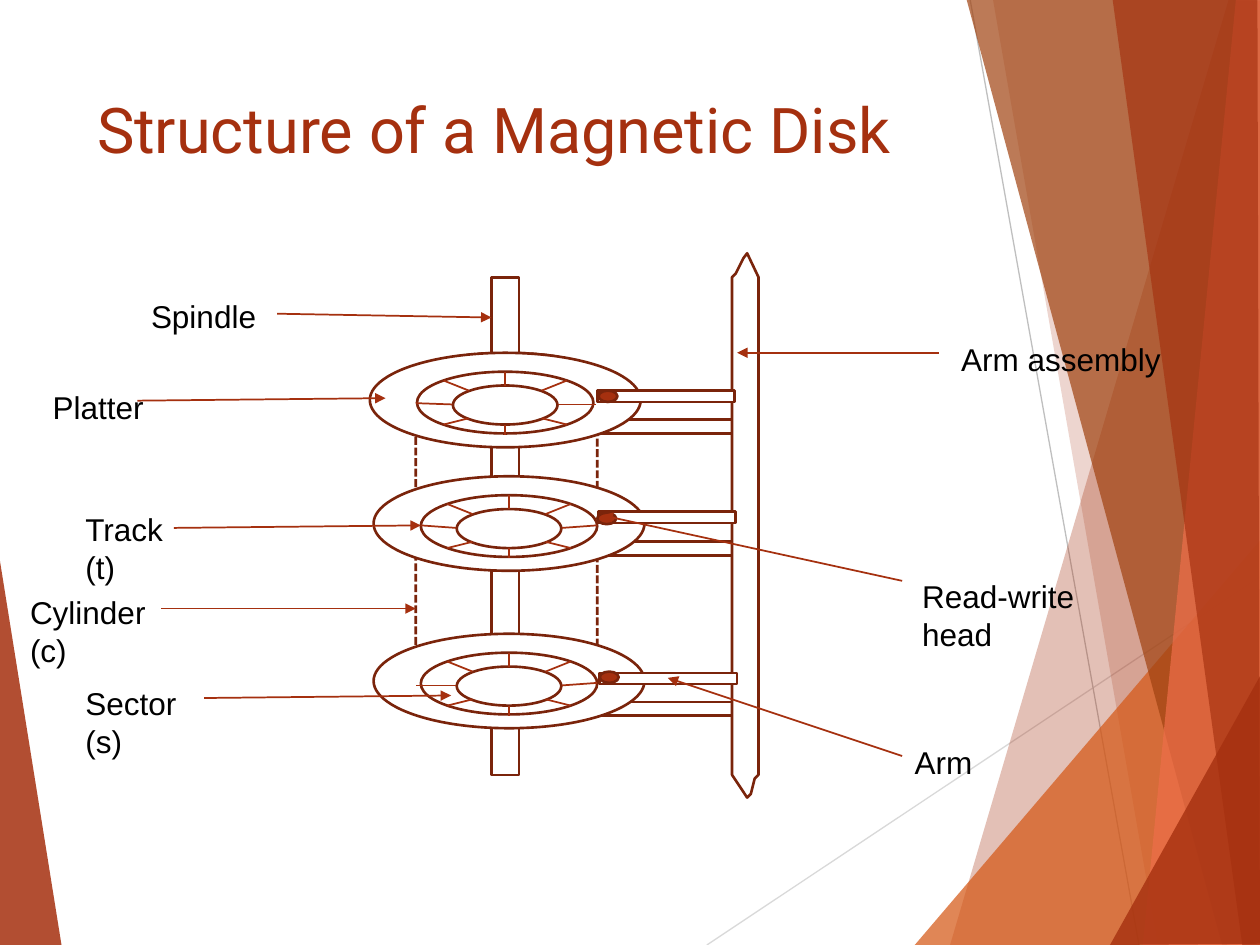
from lxml import etree
from pptx import Presentation
from pptx.dml.color import RGBColor
from pptx.enum import dml, shapes, text
from pptx.oxml.ns import qn
from pptx.util import Inches, Pt

RUST, BROWN, WHITE = "A5300F", "7A240B", "FFFFFF"
RECT, OVAL, CAN = (shapes.MSO_SHAPE.RECTANGLE, shapes.MSO_SHAPE.OVAL,
                   shapes.MSO_SHAPE.CAN)

# Theme facets, back to front: points, colour, opacity in percent
LEFT_FACET = ([(-0.01, 4.39), (0.49, 7.51), (-0.01, 7.5)], RUST, 85)
RIGHT_FACETS = [
    ([(9.75, 0), (7.54, 7.5), (10.02, 7.51), (10.01, 0.01)], RUST, 30),
    ([(7.88, -0.01), (9.19, 7.5), (10.01, 7.5), (10.01, -0.01)], RUST, 20),
    ([(7.26, 7.5), (10, 4.29), (10.01, 7.5)], "D55816", 72),
    ([(7.67, -0.01), (9.7, 7.5), (10.01, 7.49), (10.01, -0.01)], "A04210", 70),
    ([(9.81, -0.01), (9.07, 7.5), (10.01, 7.5), (10, -0.01)], "EE6E4A", 70),
    ([(8.83, -0.01), (9.86, 7.5), (10, 7.5), (9.98, -0.01)], RUST, 65),
    ([(8.81, 7.5), (10.01, 5.35), (10.01, 7.49)], RUST, 80),
]

# Platter centre x, top y, then outer ends of the left and right spokes
PLATTERS = [
    (4.01, 2.8, (-0.71, 0.4), (0.72, 0.41)),
    (4.04, 3.78, (-0.7, 0.39), (0.7, 0.39)),
    (4.04, 5.03, (-0.74, 0.41), (0.7, 0.39)),
]
RINGS = [(0, 2.15, 0.75), (0.15, 1.4, 0.49), (0.26, 0.83, 0.31)]  # top, w, h

LOWER_ARMS = [(4.64, 5.57), (4.62, 4.3), (4.75, 3.33)]
UPPER_ARMS = [(4.74, 3.1), (4.75, 4.06), (4.76, 5.34)]
HEADS = [(4.75, 3.1), (4.74, 4.07), (4.76, 5.33)]
ARM_POST = [(5.81, 2.2), (5.84, 2.17), (5.9, 2.05), (5.93, 2.01), (6.02, 2.2),
            (6.02, 6.15), (5.99, 6.18), (5.96, 6.3), (5.93, 6.33), (5.81, 6.15)]

# Label, its box, then arrow start and end
CALLOUTS = [
    ("Arm assembly", (7.53, 2.65, 2.01, 0.4), (7.45, 2.8), (5.85, 2.8)),
    ("Spindle", (1.1, 2.31, 1.11, 0.4), (2.2, 2.49), (3.9, 2.52)),
    ("Track (t)", (0.58, 4, 0.86, 0.71), (1.38, 4.19), (3.34, 4.17)),
    ("Sector (s)", (0.58, 5.38, 1.11, 0.71), (1.62, 5.54), (3.58, 5.52)),
    ("Platter", (0.32, 3.03, 1.11, 0.4), (1.09, 3.18), (3.06, 3.16)),
    ("Arm", (7.16, 5.85, 1.11, 0.4), (7.16, 6), (5.3, 5.38)),
    ("Read-write head", (7.22, 4.53, 1.64, 0.71), (7.16, 4.61), (4.78, 4.09)),
    ("Cylinder (c)", (0.14, 4.66, 1.27, 0.71), (1.28, 4.83), (3.3, 4.83)),
]


def rgb(value):
    return RGBColor.from_string(value)


def set_font(p, name, size, color):
    for key, value in {"name": name, "size": Pt(size), "bold": False}.items():
        setattr(p.font, key, value)
    p.font.color.rgb = rgb(color)


def paint(sp, fill, line=BROWN):
    sp.shadow.inherit = False
    sp.fill.solid()
    sp.fill.fore_color.rgb = rgb(fill)
    if line:
        sp.line.color.rgb = rgb(line)
        sp.line.width = Pt(1.5)
    else:
        sp.line.fill.background()


def add_preset(s, kind, box, fill=WHITE):
    sp = s.shapes.add_shape(kind, *map(Inches, box))
    paint(sp, fill)
    return sp


def add_polygon(s, points, fill, line=BROWN, opacity=100):
    start, *rest = [(Inches(x), Inches(y)) for x, y in points]
    builder = s.shapes.build_freeform(*start)
    builder.add_line_segments(rest, close=True)
    sp = builder.convert_to_shape()
    paint(sp, fill, line)
    if opacity < 100:
        color = sp.fill._xPr.find(".//" + qn("a:srgbClr"))
        etree.SubElement(color, qn("a:alpha"), val=str(opacity * 1000))


def add_line(s, start, end, color=RUST, width=1, arrow=False):
    cn = s.shapes.add_connector(shapes.MSO_CONNECTOR.STRAIGHT,
                                *map(Inches, (*start, *end)))
    cn.line.color.rgb = rgb(color)
    cn.line.width = Pt(width)
    if arrow:
        etree.SubElement(cn.line._get_or_add_ln(), qn("a:tailEnd"), type="triangle")
    etree.SubElement(cn._element.spPr, qn("a:effectLst"))


def add_title(s, words):
    sp = s.shapes.title
    sp.left, sp.top, sp.width, sp.height = map(Inches, (0.67, 0.67, 6.94, 1.44))
    tf = sp.text_frame
    tf.text = words
    tf.vertical_anchor = text.MSO_ANCHOR.TOP
    p = tf.paragraphs[0]
    p.alignment = text.PP_ALIGN.LEFT
    set_font(p, "Roboto", 36, RUST)


def add_callout(s, words, box, start, end):
    add_line(s, start, end, arrow=True)
    tf = s.shapes.add_textbox(*map(Inches, box)).text_frame
    tf.word_wrap = True
    tf.text = words
    set_font(tf.paragraphs[0], "Arial", 18, "000000")


def add_background(s):
    for i, (points, color, opacity) in enumerate([LEFT_FACET] + RIGHT_FACETS):
        add_polygon(s, points, color, None, opacity)
        if i == 0:
            add_line(s, (5.61, 7.5), (10.01, 4.57), "D9D9D9", 0.75)
            add_line(s, (7.7, 0), (9.04, 7.5), "BFBFBF", 0.75)


def add_platter(s, cx, top, left_end, right_end):
    """Three concentric ellipses with eight sector lines between the inner two."""
    for dy, w, h in RINGS:
        add_preset(s, OVAL, (cx - w / 2, top + dy, w, h))
    spokes = [((0, 0.26), (0, 0.15)), ((0, 0.57), (0, 0.65)),
              ((-0.42, 0.41), left_end), ((0.42, 0.41), right_end)]
    for side in (-1, 1):
        spokes += [((side * 0.29, 0.3), (side * 0.49, 0.22)),
                   ((side * 0.29, 0.52), (side * 0.49, 0.57))]
    for inner, outer in spokes:
        add_line(s, *[(cx + x, top + y) for x, y in (inner, outer)])


def add_disk(s):
    for x, y in LOWER_ARMS:
        add_preset(s, RECT, (x, y, 1.2, 0.11))
    cylinder = add_preset(s, CAN, (3.3, 2.8, 1.44, 2.87))
    cylinder.line.dash_style = dml.MSO_LINE.SQUARE_DOT
    add_preset(s, RECT, (3.9, 2.2, 0.22, 3.95))
    for platter in PLATTERS:
        add_platter(s, *platter)
    add_polygon(s, ARM_POST, WHITE)
    for x, y in UPPER_ARMS:
        add_preset(s, RECT, (x, y, 1.09, 0.09))
    for x, y in HEADS:
        add_preset(s, OVAL, (x, y, 0.15, 0.09), RUST)


def main():
    prs = Presentation()
    prs.slide_width, prs.slide_height = Inches(10), Inches(7.5)
    s = prs.slides.add_slide(prs.slide_layouts[5])
    add_background(s)
    add_title(s, "Structure of a Magnetic Disk")
    add_disk(s)
    for callout in CALLOUTS:
        add_callout(s, *callout)
    prs.save("out.pptx")


if __name__ == "__main__":
    main()
